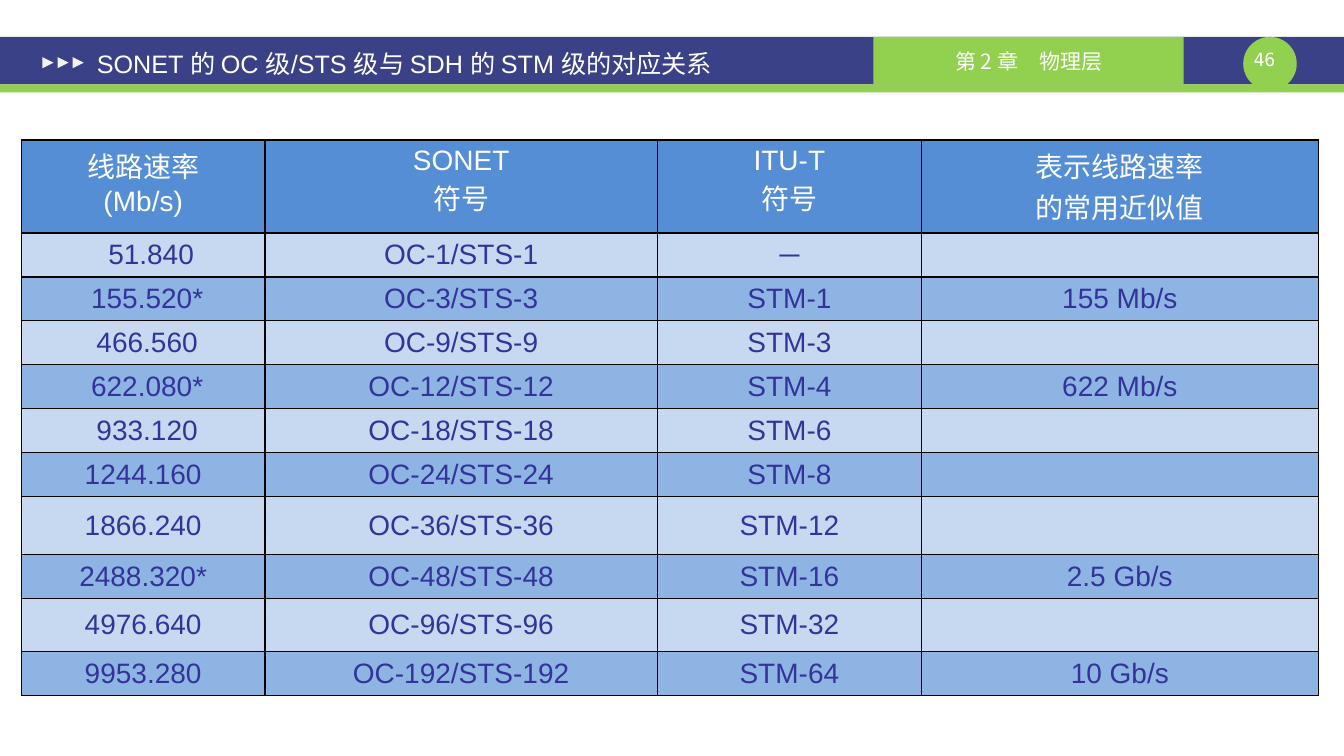
from lxml.etree import SubElement
from pptx import Presentation
from pptx.dml.color import RGBColor
from pptx.enum.shapes import MSO_SHAPE
from pptx.enum.text import MSO_ANCHOR, PP_ALIGN
from pptx.oxml.ns import qn
from pptx.util import Cm, Pt

TITLE = "SONET 的 OC 级/STS 级与 SDH 的 STM 级的对应关系"
CHAPTER = "第 2 章　物理层"
PAGE = "46"
HEADINGS = ("线路速率\n(Mb/s)", "SONET\n符号", "ITU-T\n符号", "表示线路速率\n的常用近似值")
RATES = [
    ("51.840", "OC-1/STS-1", "─", ""),
    ("155.520*", "OC-3/STS-3", "STM-1", "155 Mb/s"),
    ("466.560", "OC-9/STS-9", "STM-3", ""),
    ("622.080*", "OC-12/STS-12", "STM-4", "622 Mb/s"),
    ("933.120", "OC-18/STS-18", "STM-6", ""),
    ("1244.160", "OC-24/STS-24", "STM-8", ""),
    ("1866.240", "OC-36/STS-36", "STM-12", ""),
    ("2488.320*", "OC-48/STS-48", "STM-16", "2.5 Gb/s"),
    ("4976.640", "OC-96/STS-96", "STM-32", ""),
    ("9953.280", "OC-192/STS-192", "STM-64", "10 Gb/s"),
]
COLUMN_WIDTHS = (6.14, 9.89, 6.66, 10)
HEADING_HEIGHT = 2.34
RATE_HEIGHT = 1.1
TALL_HEIGHTS = {"1866.240": 1.45, "4976.640": 1.35}
DIGIT_SHIFT = 0.2
FULL_RATE = len("1244.160")

NAVY = RGBColor(0x3A, 0x41, 0x87)
GREEN = RGBColor(0x92, 0xD0, 0x50)
PALE = RGBColor(0xF2, 0xF2, 0xF2)
WHITE = RGBColor(0xFF, 0xFF, 0xFF)
INDIGO = RGBColor(0x33, 0x33, 0x99)
HEADING_BLUE = RGBColor(0x55, 0x8E, 0xD5)
BANDS = (RGBColor(0xC6, 0xD9, 0xF1), RGBColor(0x8E, 0xB4, 0xE3))
BLACK = RGBColor(0, 0, 0)

deck = Presentation()
deck.slide_width, deck.slide_height = Cm(33.88), Cm(19.05)
slide = deck.slides.add_slide(deck.slide_layouts[6])


def add_block(kind, left, top, width, height, color):
    block = slide.shapes.add_shape(kind, Cm(left), Cm(top), Cm(width), Cm(height))
    block.shadow.inherit = False
    block.fill.solid()
    block.fill.fore_color.rgb = color
    block.line.fill.background()
    return block


def write(frame, text, size, font, color, align=PP_ALIGN.CENTER):
    frame.text = text
    for paragraph in frame.paragraphs:
        paragraph.alignment = align
        paragraph.font.size = Pt(size)
        paragraph.font.name = font
        paragraph.font.color.rgb = color


def add_label(left, top, width, height, margin):
    box = slide.shapes.add_textbox(Cm(left), Cm(top), Cm(width), Cm(height))
    frame = box.text_frame
    frame.word_wrap = True
    frame.vertical_anchor = MSO_ANCHOR.MIDDLE
    frame.margin_left = frame.margin_right = Cm(margin)
    frame.margin_top = frame.margin_bottom = Cm(margin / 2)
    return frame


def set_border(cell, side, points):
    line = SubElement(cell._tc.get_or_add_tcPr(), qn(f"a:{side}"), w=str(Pt(points)))
    fill = SubElement(line, qn("a:solidFill"))
    SubElement(fill, qn("a:srgbClr"), val=str(BLACK))


def fill_cell(cell, text, color, text_color, anchor, top_line, bottom_line):
    cell.margin_left = cell.margin_right = Cm(0.33)
    cell.margin_top = cell.margin_bottom = Cm(0.13)
    cell.vertical_anchor = anchor
    for side, points in (("lnL", 1), ("lnR", 1), ("lnT", top_line), ("lnB", bottom_line)):
        set_border(cell, side, points)
    cell.fill.solid()
    cell.fill.fore_color.rgb = color
    write(cell.text_frame, text, 20, "Arial", text_color)


add_block(MSO_SHAPE.RECTANGLE, 0, 0.93, 33.88, 1.2, NAVY)
add_block(MSO_SHAPE.RECTANGLE, 0, 2.13, 33.88, 0.2, GREEN)
add_block(MSO_SHAPE.OVAL, 31.34, 0.93, 1.35, 1.35, GREEN)
write(add_label(31.34, 1.22, 1.07, 0.56, 0), PAGE, 13, "DejaVu Sans Mono", WHITE)

chapter = add_block(MSO_SHAPE.RECTANGLE, 22.02, 0.93, 7.82, 1.2, GREEN)
chapter.text_frame.vertical_anchor = MSO_ANCHOR.MIDDLE
write(chapter.text_frame, CHAPTER, 15, "Noto Sans CJK SC", WHITE)

for index in range(3):
    arrow = add_block(MSO_SHAPE.ISOSCELES_TRIANGLE, 1.07 + 0.38 * index, 1.44, 0.28, 0.28, PALE)
    arrow.rotation = 90

heights = [HEADING_HEIGHT] + [TALL_HEIGHTS.get(row[0], RATE_HEIGHT) for row in RATES]
table = slide.shapes.add_table(
    len(heights), len(COLUMN_WIDTHS), Cm(0.54), Cm(3.53), Cm(sum(COLUMN_WIDTHS)), Cm(sum(heights))
).table
for column, width in zip(table.columns, COLUMN_WIDTHS):
    column.width = Cm(width)
for row, height in zip(table.rows, heights):
    row.height = Cm(height)

for col, heading in enumerate(HEADINGS):
    fill_cell(table.cell(0, col), heading, HEADING_BLUE, WHITE, MSO_ANCHOR.TOP, 1, 2)
for index, values in enumerate(RATES):
    for col, value in enumerate(values):
        fill_cell(table.cell(index + 1, col), value, BANDS[index % 2], INDIGO,
                  MSO_ANCHOR.MIDDLE, 1 if index else 2, 1)
    missing_digits = FULL_RATE - len(values[0].rstrip("*"))
    table.cell(index + 1, 0).margin_left = Cm(0.33 + DIGIT_SHIFT * missing_digits)

write(add_label(2.16, 0.99, 19.79, 1.2, 0.28), TITLE, 18, "Arial", WHITE, PP_ALIGN.LEFT)

deck.save("out.pptx")
